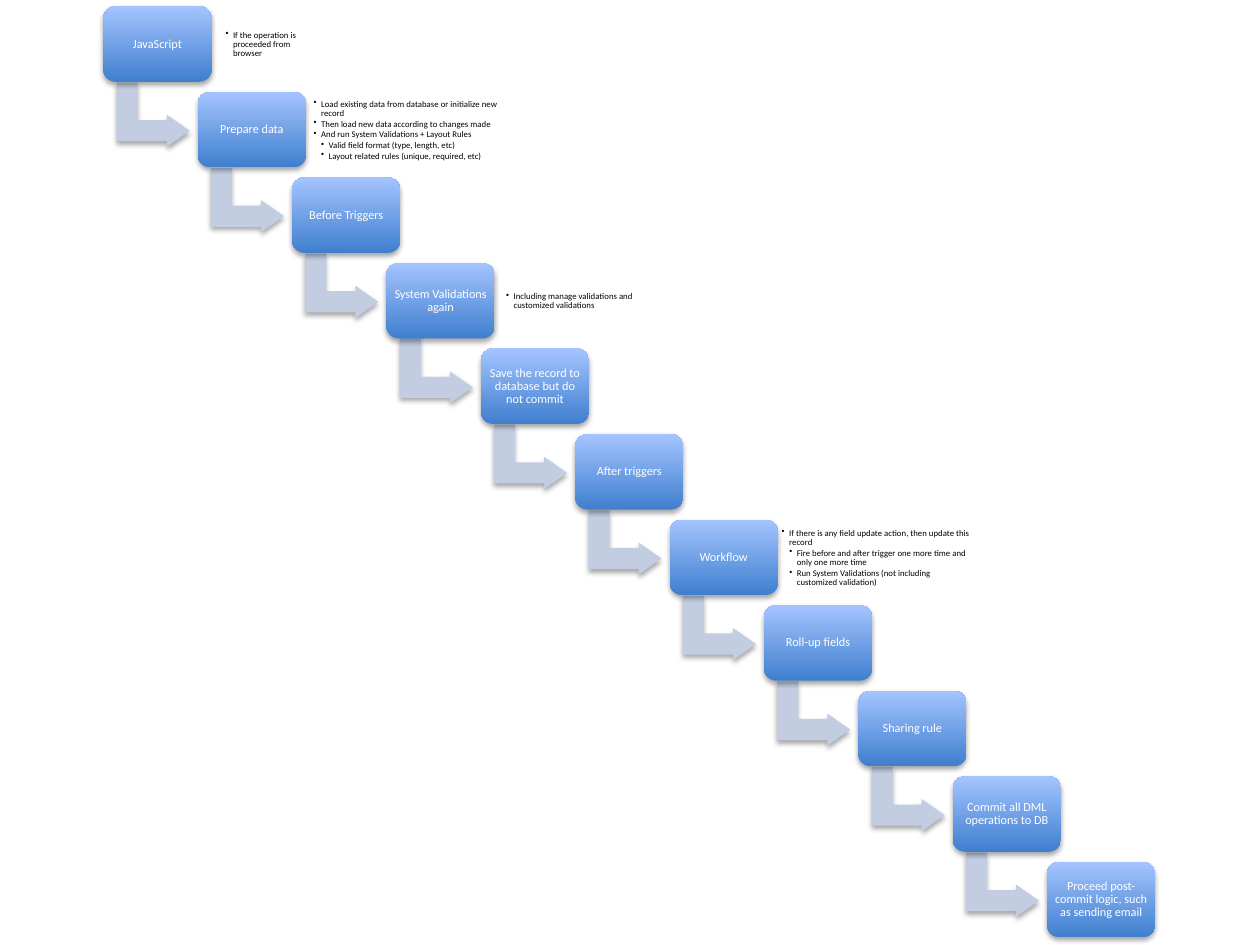
from dataclasses import dataclass

from lxml.etree import SubElement
from pptx import Presentation
from pptx.dml.color import RGBColor
from pptx.enum.shapes import MSO_SHAPE
from pptx.enum.text import MSO_ANCHOR, PP_ALIGN
from pptx.oxml.ns import qn
from pptx.util import Inches, Pt

WHITE = RGBColor(0xFF, 0xFF, 0xFF)
BLACK = RGBColor(0x00, 0x00, 0x00)
ARROW = RGBColor(0xC2, 0xCD, 0xE1)
BOX_BOTTOM = RGBColor(0x3F, 0x7F, 0xCE)
BOX_TOP = RGBColor(0xA4, 0xC4, 0xFF)

FONT = "Calibri"
FIRST, LAST = (0.82, 0.05), (8.31, 6.84)  # left and top of the end boxes
BOX_W, BOX_H = 0.86, 0.6
ARROW_W, ARROW_H = 0.51, 0.58
ARROW_DX, ARROW_DY = 0.14, 0.57
NOTE_DY, NOTE_H = 0.06, 0.49
INDENT = 0.06


@dataclass
class Note:
    gap: float
    width: float
    bullets: list[tuple[int, str]]


@dataclass
class Step:
    label: str
    note: Note | None = None


STEPS = [
    Step("JavaScript", Note(0.09, 0.77, [
        (1, "If the operation is proceeded from browser")])),
    Step("Prepare data", Note(0.04, 1.51, [
        (1, "Load existing data from database or initialize new record"),
        (1, "Then load new data according to changes made"),
        (1, "And run System Validations + Layout Rules"),
        (2, "Valid field format (type, length, etc)"),
        (2, "Layout related rules (unique, required, etc)")])),
    Step("Before Triggers"),
    Step("System Validations again", Note(0.07, 1.18, [
        (1, "Including manage validations and customized validations")])),
    Step("Save the record to database but do not commit"),
    Step("After triggers"),
    Step("Workflow", Note(0.01, 1.55, [
        (1, "If there is any field update action, then update this record"),
        (2, "Fire before and after trigger one more time and only one more time"),
        (2, "Run System Validations (not including customized validation)")])),
    Step("Roll-up fields"),
    Step("Sharing rule"),
    Step("Commit all DML operations to DB"),
    Step("Proceed post-commit logic, such as sending email"),
]


def add_shadow(s) -> None:
    s.shadow.inherit = False
    effects = s._element.spPr.find(qn("a:effectLst"))
    shadow = SubElement(effects, qn("a:outerShdw"), blurRad=str(Pt(3.1)),
                        dist=str(Pt(1.8)), dir="5400000", rotWithShape="0")
    color = SubElement(shadow, qn("a:srgbClr"), val=str(BLACK))
    SubElement(color, qn("a:alpha"), val="35000")


def format_frame(tf, inset: float) -> None:
    values = {"word_wrap": True, "vertical_anchor": MSO_ANCHOR.MIDDLE}
    for side in ("left", "right", "top", "bottom"):
        values[f"margin_{side}"] = Inches(inset)
    for name, value in values.items():
        setattr(tf, name, value)


def write(p, text: str, size: float, color: RGBColor) -> None:
    p.line_spacing = 0.9
    r = p.add_run()
    r.text = text
    r.font.name, r.font.size = FONT, Pt(size)
    r.font.color.rgb = color


def add_arrow(shapes, left: float, top: float) -> None:
    s = shapes.add_shape(MSO_SHAPE.BENT_UP_ARROW, Inches(left), Inches(top),
                         Inches(ARROW_W), Inches(ARROW_H))
    s.rotation = 90
    for i, value in enumerate((0.328, 0.25, 0.358)):
        s.adjustments[i] = value
    s.fill.solid()
    s.fill.fore_color.rgb = ARROW
    s.line.fill.background()
    add_shadow(s)


def add_box(shapes, left: float, top: float, label: str) -> None:
    s = shapes.add_shape(MSO_SHAPE.ROUNDED_RECTANGLE, Inches(left), Inches(top),
                         Inches(BOX_W), Inches(BOX_H))
    s.fill.gradient()
    s.fill.gradient_angle = 90
    for stop, color in zip(s.fill.gradient_stops, (BOX_BOTTOM, BOX_TOP)):
        stop.color.rgb = color
    s.line.fill.background()
    add_shadow(s)
    format_frame(s.text_frame, 0.03)
    p = s.text_frame.paragraphs[0]
    p.alignment = PP_ALIGN.CENTER
    write(p, label, 7, WHITE)


def add_note(shapes, left: float, top: float, note: Note) -> None:
    tf = shapes.add_textbox(Inches(left), Inches(top), Inches(note.width),
                            Inches(NOTE_H)).text_frame
    format_frame(tf, 0.02)
    for i, (level, text) in enumerate(note.bullets):
        p = tf.add_paragraph() if i else tf.paragraphs[0]
        p.level = level
        p.space_after = Pt(0.75)
        write(p, text, 5, BLACK)
        pPr = p._p.get_or_add_pPr()
        pPr.set("marL", str(Inches(INDENT * level)))
        pPr.set("indent", str(-Inches(INDENT)))
        SubElement(pPr, qn("a:buChar"), char="•")


def main() -> None:
    prs = Presentation()
    prs.slide_width, prs.slide_height = Inches(10), Inches(7.5)
    shapes = prs.slides.add_slide(prs.slide_layouts[6]).shapes
    last = len(STEPS) - 1
    for i, step in enumerate(STEPS):
        left, top = (a + (b - a) * i / last for a, b in zip(FIRST, LAST))
        if i < last:
            add_arrow(shapes, left + ARROW_DX, top + ARROW_DY)
        add_box(shapes, left, top, step.label)
        if step.note:
            add_note(shapes, left + BOX_W + step.note.gap, top + NOTE_DY, step.note)
    prs.save("out.pptx")


if __name__ == "__main__":
    main()
